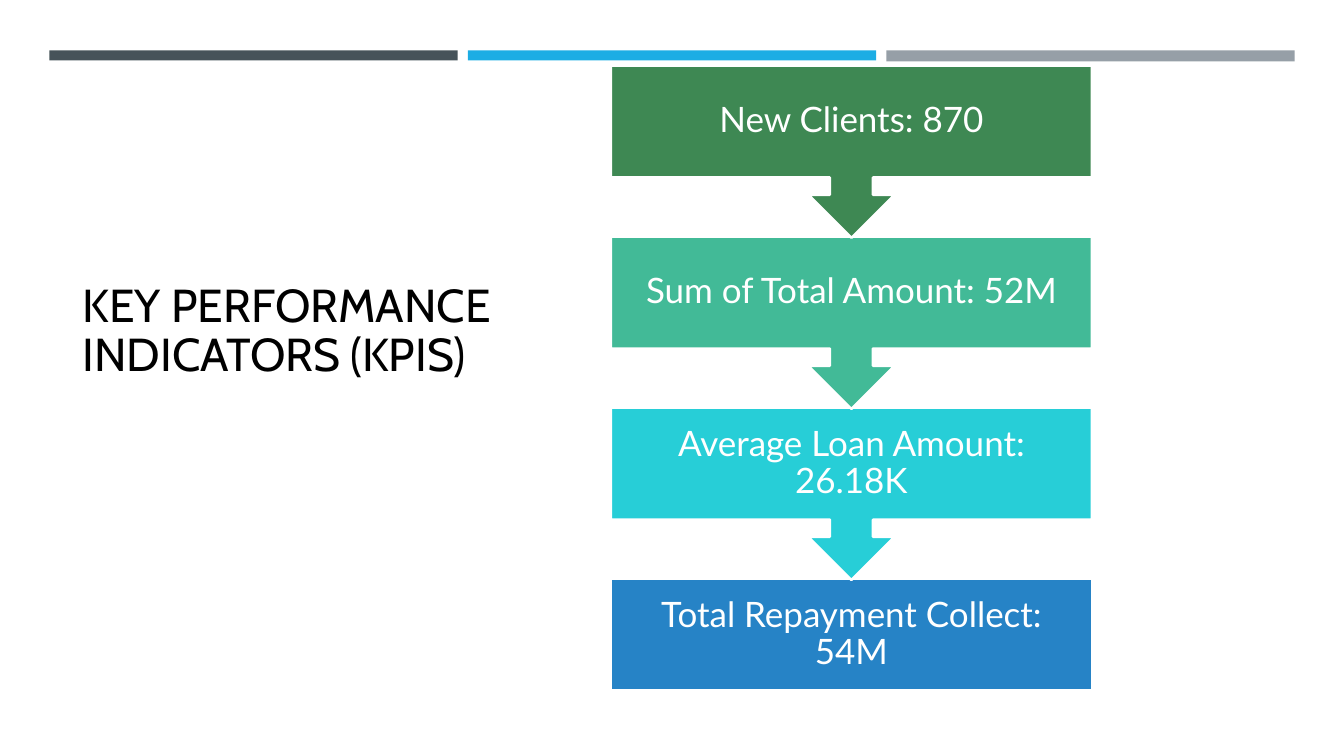
"""Build the key performance indicators slide."""
import pptx
import pptx.util
import pptx.dml.color
import pptx.enum.shapes
import pptx.enum.text

Inches = pptx.util.Inches
Pt = pptx.util.Pt
RGBColor = pptx.dml.color.RGBColor
SHAPE = pptx.enum.shapes.MSO_SHAPE
ALIGN = pptx.enum.text.PP_ALIGN
ANCHOR = pptx.enum.text.MSO_ANCHOR

WHITE = RGBColor(0xFF, 0xFF, 0xFF)
BLACK = RGBColor(0x00, 0x00, 0x00)
SLATE = RGBColor(0x46, 0x53, 0x59)
SKY = RGBColor(0x1C, 0xAD, 0xE4)
GREY = RGBColor(0x96, 0x9F, 0xA7)
GREEN = RGBColor(0x3E, 0x88, 0x53)
JADE = RGBColor(0x42, 0xBA, 0x97)
AQUA = RGBColor(0x27, 0xCE, 0xD7)
BLUE = RGBColor(0x26, 0x83, 0xC6)

deck = pptx.Presentation()
deck.slide_width = Inches(13.33)
deck.slide_height = Inches(7.5)
slide = deck.slides.add_slide(deck.slide_layouts[6])


def add_block(kind, left, top, width, height, color):
    block = slide.shapes.add_shape(
        kind, Inches(left), Inches(top), Inches(width), Inches(height))
    block.shadow.inherit = False
    block.fill.solid()
    block.fill.fore_color.rgb = color
    block.line.fill.background()
    return block


def set_text(shape, text, color, frame_style, para_style, font_style):
    frame = shape.text_frame
    frame.text = text
    para = frame.paragraphs[0]
    para.font.color.rgb = color
    for part, style in ((frame, frame_style), (para, para_style),
                        (para.font, font_style)):
        for name, value in style.items():
            setattr(part, name, value)


for col, (color, height) in enumerate([(SLATE, 0.1), (SKY, 0.1), (GREY, 0.11)]):
    add_block(SHAPE.RECTANGLE, 0.49 + 4.15 * col, 0.5, 4.05, height, color)

title = slide.shapes.add_textbox(
    Inches(0.72), Inches(2.75), Inches(4.51), Inches(1.53))
set_text(title, "KEY PERFORMANCE INDICATORS (KPIS)", BLACK,
         {"word_wrap": True, "vertical_anchor": ANCHOR.TOP},
         {"line_spacing": 0.9},
         {"name": "Cabin", "size": Pt(33)})

inset = Inches(0.19)
step_frame = {"word_wrap": True, "vertical_anchor": ANCHOR.MIDDLE,
              "margin_left": inset, "margin_right": inset,
              "margin_top": inset, "margin_bottom": inset}
step_para = {"alignment": ALIGN.CENTER, "line_spacing": 0.9}
step_font = {"name": "Lato", "size": Pt(25)}

steps = [
    ("New Clients: 870", GREEN),
    ("Sum of Total Amount: 52M", JADE),
    ("Average Loan Amount: 26.18K", AQUA),
    ("Total Repayment Collect: 54M", BLUE),
]
last = len(steps) - 1
for row, (text, color) in reversed(list(enumerate(steps))):
    kind, height = SHAPE.DOWN_ARROW_CALLOUT, 1.71
    if row == last:
        kind, height = SHAPE.RECTANGLE, 1.11
    step = add_block(kind, 6.06, 0.65 + 1.697 * row, 4.77, height, color)
    step.line.color.rgb = WHITE
    step.line.width = Pt(1.75)
    set_text(step, text, WHITE, step_frame, step_para, step_font)

deck.save("out.pptx")
